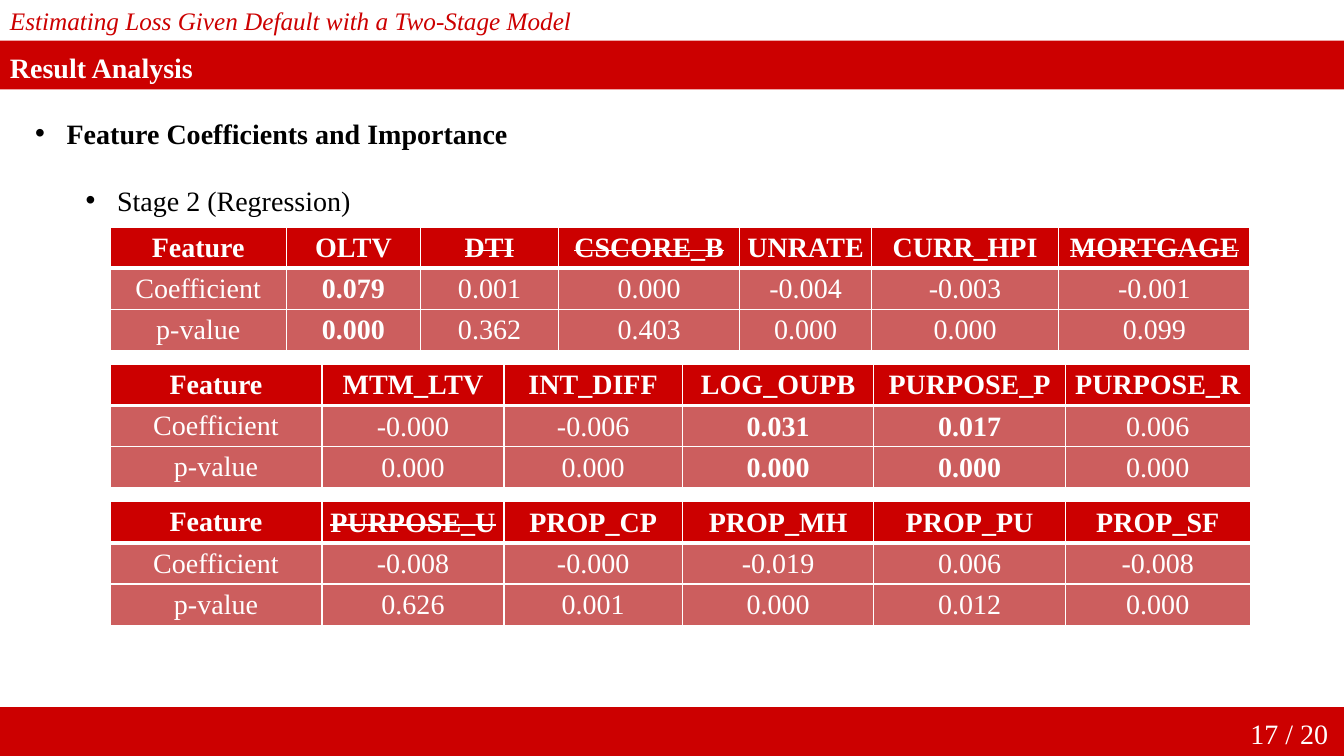
from lxml import etree
from pptx import Presentation
from pptx.dml.color import RGBColor
from pptx.enum.shapes import MSO_SHAPE
from pptx.enum.text import MSO_ANCHOR, PP_ALIGN
from pptx.oxml.ns import qn
from pptx.util import Pt

RECT = MSO_SHAPE.RECTANGLE
TOP, MIDDLE, BOTTOM = MSO_ANCHOR.TOP, MSO_ANCHOR.MIDDLE, MSO_ANCHOR.BOTTOM
CENTER = PP_ALIGN.CENTER

RED = RGBColor(0xCC, 0x00, 0x00)
ROSE = RGBColor(0xCC, 0x5E, 0x5E)
WHITE = RGBColor(0xFF, 0xFF, 0xFF)
BLACK = RGBColor(0x00, 0x00, 0x00)

FONT = "Times New Roman"
WIDTH, HEIGHT = 960, 540
BAR = 34.8
LEFT, ROW = 78.6, 29.4

LABELS = ("Feature", "Coefficient", "p-value")
STRUCK = {"DTI", "CSCORE_B", "MORTGAGE", "PURPOSE_U"}
STRONG = {"OLTV", "LOG_OUPB", "PURPOSE_P"}

# Column widths, shared by the two lower tables
WIDE = (126, 95.8, 98.6, 129.5, 94, 133.8, 136.6)
EVEN = (151.4, 130, 127.4, 136.8, 136.8, 132)

# Top, column widths, then name, coefficient and p-value of each feature
TABLES = (
    (162.2, WIDE, (
        ("OLTV", "0.079", "0.000"),
        ("DTI", "0.001", "0.362"),
        ("CSCORE_B", "0.000", "0.403"),
        ("UNRATE", "-0.004", "0.000"),
        ("CURR_HPI", "-0.003", "0.000"),
        ("MORTGAGE", "-0.001", "0.099"),
    )),
    (260.3, EVEN, (
        ("MTM_LTV", "-0.000", "0.000"),
        ("INT_DIFF", "-0.006", "0.000"),
        ("LOG_OUPB", "0.031", "0.000"),
        ("PURPOSE_P", "0.017", "0.000"),
        ("PURPOSE_R", "0.006", "0.000"),
    )),
    (358.4, EVEN, (
        ("PURPOSE_U", "-0.008", "0.626"),
        ("PROP_CP", "-0.000", "0.001"),
        ("PROP_MH", "-0.019", "0.000"),
        ("PROP_PU", "0.006", "0.012"),
        ("PROP_SF", "-0.008", "0.000"),
    )),
)


def style(para, color, size=20, bold=False, italic=False):
    for run in para.runs:
        font = run.font
        font.name, font.size = FONT, Pt(size)
        font.bold, font.italic = bold, italic
        font.color.rgb = color


def add_bar(slide, top):
    bar = slide.shapes.add_shape(RECT, 0, Pt(top), Pt(WIDTH), Pt(BAR))
    bar.shadow.inherit = False
    bar.fill.solid()
    bar.fill.fore_color.rgb = RED
    bar.line.fill.background()


def add_text(slide, box, text, color, anchor=TOP, wrap=True, **look):
    shape = slide.shapes.add_textbox(*map(Pt, box))
    frame = shape.text_frame
    frame.word_wrap = wrap
    frame.vertical_anchor = anchor
    frame.text = text
    for para in frame.paragraphs:
        style(para, color, **look)
    return frame


def add_bullet(para, level, indent):
    para.level = level
    para.line_spacing = 2.0
    props = para._p.get_or_add_pPr()
    props.set("marL", str(Pt(indent)))
    props.set("indent", str(Pt(-22.5)))
    etree.SubElement(props, qn("a:buFont")).set("typeface", "Arial")
    etree.SubElement(props, qn("a:buChar")).set("char", "•")


def add_border(cell, head):
    props = cell._tc.get_or_add_tcPr()
    for spot, side in enumerate(("lnL", "lnR", "lnT", "lnB")):
        # The header is set off by a thick line
        thick = head and side == "lnB"
        line = etree.Element(qn("a:" + side), w=str(Pt(3 if thick else 1)))
        fill = etree.SubElement(line, qn("a:solidFill"))
        etree.SubElement(fill, qn("a:srgbClr")).set("val", str(WHITE))
        props.insert(spot, line)


def fill_cell(cell, text, head, label, strong):
    cell.text = text
    cell.vertical_anchor = MIDDLE
    cell.margin_top = Pt(2.6 if label else 0.7)
    cell.margin_bottom = Pt(2.6 if label else 0)
    cell.margin_left = cell.margin_right = Pt(7.2 if label else 0.7)
    cell.fill.solid()
    cell.fill.fore_color.rgb = RED if head else ROSE
    add_border(cell, head)
    para = cell.text_frame.paragraphs[0]
    para.alignment = CENTER
    style(para, WHITE, bold=head or strong)
    if text in STRUCK:
        para.runs[0]._r.get_or_add_rPr().set("strike", "sngStrike")


def add_grid(slide, top, widths, feats):
    cols = (LABELS, *feats)
    frame = slide.shapes.add_table(
        len(LABELS), len(cols), Pt(LEFT), Pt(top),
        Pt(sum(widths)), Pt(ROW * len(LABELS)))
    table = frame.table
    table.horz_banding = False
    for row in table.rows:
        row.height = Pt(ROW)
    for c, (width, col) in enumerate(zip(widths, cols)):
        table.columns[c].width = Pt(width)
        for r, text in enumerate(col):
            fill_cell(table.cell(r, c), text, r == 0, c == 0,
                      col[0] in STRONG)


def main():
    deck = Presentation()
    deck.slide_width, deck.slide_height = Pt(WIDTH), Pt(HEIGHT)
    slide = deck.slides.add_slide(deck.slide_layouts[6])

    # Header and footer
    add_bar(slide, HEIGHT - BAR)
    add_text(slide, (0, 0, WIDTH, 29),
             "Estimating Loss Given Default with a Two-Stage Model",
             RED, size=18, italic=True)
    add_bar(slide, 29)
    add_text(slide, (886, 508.5, 74, 31.5), "17 / 20", WHITE, wrap=False)

    # Bullets
    frame = add_text(slide, (18, 55.4, 904, 242),
                     "Feature Coefficients and Importance\n"
                     "Stage 2 (Regression)", BLACK)
    first, second = frame.paragraphs
    style(first, BLACK, bold=True)
    add_bullet(first, 0, 22.5)
    add_bullet(second, 1, 58.5)

    # Title
    title = add_text(slide, (0, 35, WIDTH, 29), "Result Analysis", WHITE,
                     anchor=BOTTOM, bold=True)
    title.paragraphs[0].line_spacing = 0.9

    # Coefficient tables
    for top, widths, feats in TABLES:
        add_grid(slide, top, widths, feats)

    deck.save("out.pptx")


if __name__ == "__main__":
    main()
